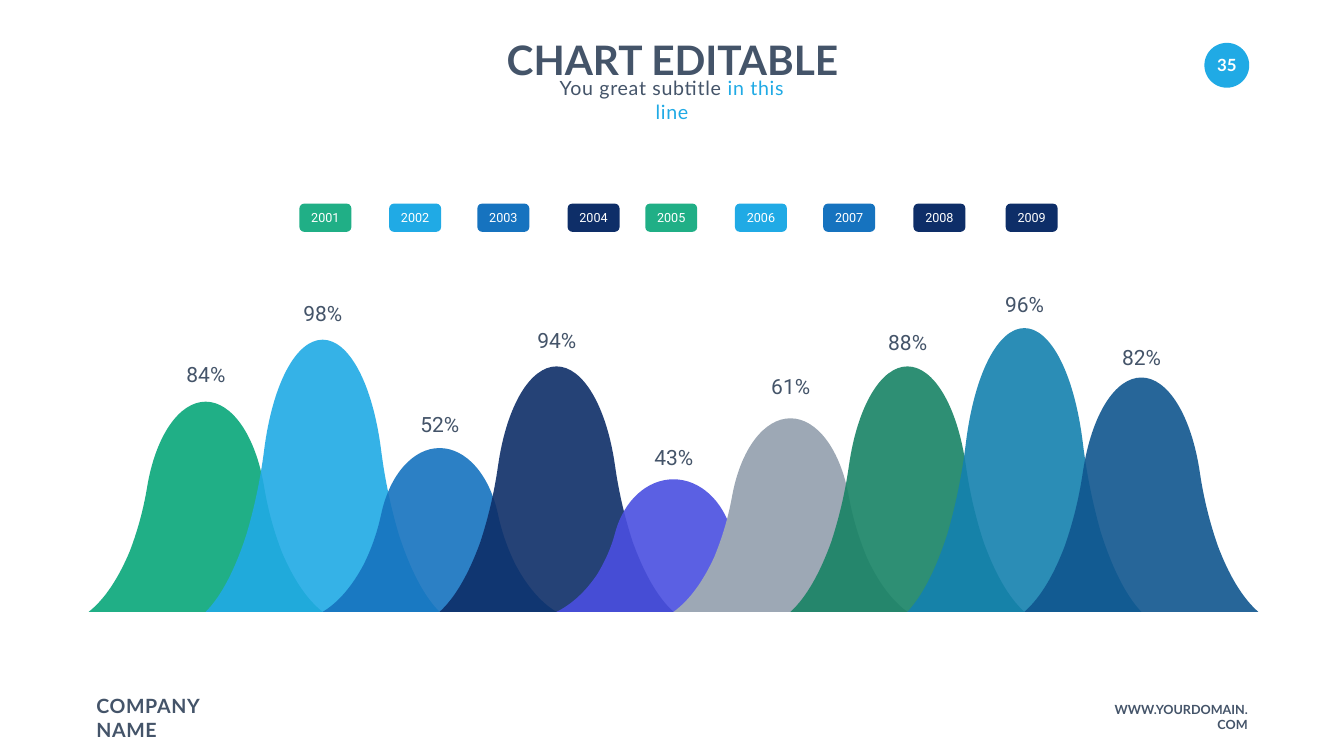
from pptx import Presentation
from pptx.dml.color import RGBColor
from pptx.enum.shapes import MSO_SHAPE
from pptx.enum.text import MSO_ANCHOR, MSO_AUTO_SIZE, PP_ALIGN
from pptx.oxml.ns import qn
from pptx.util import Pt
from lxml.etree import SubElement

PX = 9144  # 100 px to the inch
SLATE, SKY, WHITE = "445469", "20AAE5", "FFFFFF"
GREEN, BLUE, NAVY = "20AF86", "1673BF", "0E2E68"
rgb = RGBColor.from_string


def write(sp, runs, size, font, color, align=PP_ALIGN.CENTER, bold=False,
          wrap=False, spacing=0):
    """Fill a shape with one paragraph; runs are (text, colour or None)."""
    tf = sp.text_frame
    tf.margin_left = tf.margin_right = tf.margin_top = tf.margin_bottom = 0
    tf.auto_size = MSO_AUTO_SIZE.NONE
    tf.vertical_anchor = MSO_ANCHOR.MIDDLE
    tf.word_wrap = wrap
    p = tf.paragraphs[0]
    p.alignment = align
    p.font.size, p.font.name, p.font.bold = Pt(size), font, bold
    p.font.color.rgb = rgb(color)
    for text, run_color in runs:
        r = p.add_run()
        r.text = text
        if run_color:
            r.font.color.rgb = rgb(run_color)
        if spacing:
            r._r.get_or_add_rPr().set("spc", str(spacing))
    return p


def paint(sp, color):
    sp.fill.solid()
    sp.fill.fore_color.rgb = rgb(color)
    sp.line.fill.background()
    sp.shadow.inherit = False


prs = Presentation()
prs.slide_width, prs.slide_height = 2666 * PX, 1500 * PX
s = prs.slides.add_slide(prs.slide_layouts[5])

# Page number and footer
badge = s.shapes.add_shape(MSO_SHAPE.OVAL, 2389 * PX, 85 * PX, 89 * PX, 89 * PX)
paint(badge, SKY)
write(badge, [("35", None)], 24, "Lato", WHITE, bold=True)

domain = s.shapes.add_textbox(2198 * PX, 1408 * PX, 277 * PX, 30 * PX)
write(domain, [("WWW.YOURDOMAIN.COM", None)], 18, "Lato", SLATE,
      align=PP_ALIGN.RIGHT, bold=True, wrap=True)
company = s.shapes.add_textbox(191 * PX, 1401 * PX, 293 * PX, 47 * PX)
write(company, [("COMPANY NAME", None)], 28, "Lato", SLATE,
      align=PP_ALIGN.LEFT, bold=True, wrap=True, spacing=100)

# Heading
title = s.shapes.title
title.left, title.top, title.width, title.height = 1002 * PX, 69 * PX, 664 * PX, 98 * PX
write(title, [("CHART EDITABLE", None)], 58, "Lato", SLATE, bold=True)
subtitle = s.shapes.add_textbox(1083 * PX, 174 * PX, 500 * PX, 47 * PX)
write(subtitle, [("You great subtitle ", None), ("in this line", SKY)],
      28, "Lato", SLATE, wrap=True, spacing=100)

# Bells: each is 464 px wide and starts at the middle of the one before
LEFT, BASE, WIDTH, STEP = 176, 1214, 464, 232
# Bezier points of the left half: x in px, y as a share of the height
HALF = [(0, 1), (32, 0.94), (59, 0.84), (81, 0.715), (96, 0.62), (108, 0.52),
        (116, 0.405), (133, 0.16), (180, 0), (232, 0)]
OUTLINE = HALF + [(WIDTH - x, y) for x, y in HALF[-2::-1]]

bells = [  # value, height, label top, colour, opacity in %
    ("84%", 417, 703, GREEN, 100),
    ("98%", 540, 581, SKY, 90),
    ("52%", 325, 801, BLUE, 90),
    ("94%", 487, 634, NAVY, 90),
    ("43%", 263, 867, "4A4FE0", 90),
    ("61%", 384, 727, "9DA8B5", 100),
    ("88%", 487, 639, "188365", 90),
    ("96%", 563, 564, "1481AF", 90),
    ("82%", 465, 668, "10568F", 90),
]
for i, (value, height, label_top, color, opacity) in enumerate(bells):
    left = LEFT + i * STEP
    points = [(left + x, BASE - height + round(y * height)) for x, y in OUTLINE]
    builder = s.shapes.build_freeform(*points[0], scale=PX)
    builder.add_line_segments(points[1:], close=True)
    bell = builder.convert_to_shape()
    paint(bell, color)
    # Every three line points become one Bezier curve
    lines = list(bell._element.iter(qn("a:lnTo")))[:len(points) - 1]
    for first, second, third in zip(lines[::3], lines[1::3], lines[2::3]):
        first.tag = qn("a:cubicBezTo")
        for line in (second, third):
            first.append(line[0])
            line.getparent().remove(line)
    if opacity < 100:
        fill = bell._element.spPr.find(qn("a:solidFill"))
        SubElement(fill[0], qn("a:alpha"), val=str(opacity * 1000))

    label = s.shapes.add_textbox((left + 188) * PX, label_top * PX, 89 * PX, 70 * PX)
    write(label, [(value, None)], 30, "Roboto", SLATE).line_spacing = 1.2

# Year tags
tags = [(594, GREEN), (772, SKY), (947, BLUE), (1126, NAVY), (1280, GREEN),
        (1458, SKY), (1633, BLUE), (1812, NAVY), (1995, NAVY)]
for year, (left, color) in enumerate(tags, 2001):
    tag = s.shapes.add_shape(MSO_SHAPE.ROUNDED_RECTANGLE, left * PX, 404 * PX,
                             103 * PX, 56 * PX)
    paint(tag, color)
    write(tag, [(str(year), None)], 18, "Roboto", WHITE)

prs.save("out.pptx")
